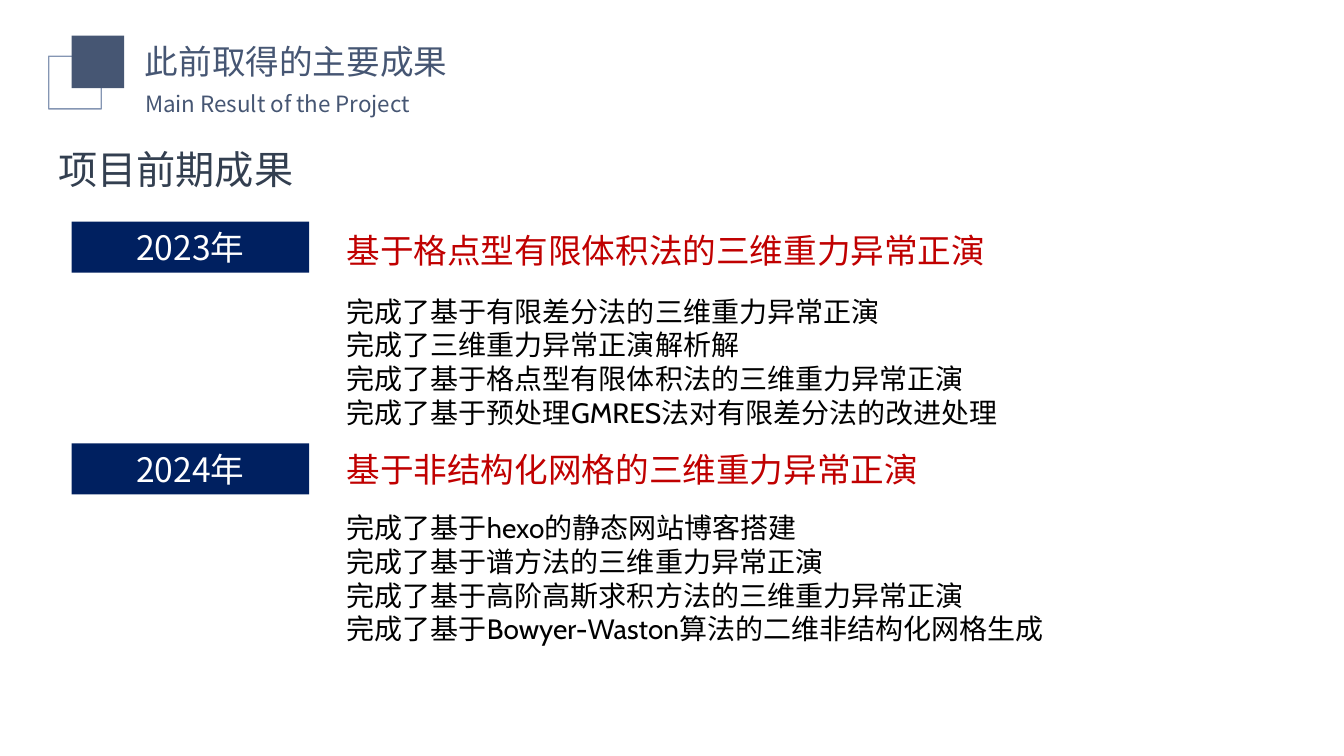
from lxml.etree import SubElement
from pptx import Presentation
from pptx.dml.color import RGBColor
from pptx.enum.shapes import MSO_SHAPE as Shape
from pptx.enum.text import MSO_AUTO_SIZE as AutoSize, PP_ALIGN as Align
from pptx.oxml.ns import qn
from pptx.util import Pt

SLATE = RGBColor(0x46, 0x56, 0x73)
OUTLINE = RGBColor(0x5D, 0x73, 0x9A)
HEADING = RGBColor(0x33, 0x3F, 0x50)
NAVY = RGBColor(0x00, 0x20, 0x60)
RED = RGBColor(0xC0, 0x00, 0x00)
BLACK = RGBColor(0x00, 0x00, 0x00)
WHITE = RGBColor(0xFF, 0xFF, 0xFF)
CABIN, NOTO = "Cabin", "Noto Sans CJK SC"

presentation = Presentation()
presentation.slide_width, presentation.slide_height = Pt(960), Pt(540)
slide = presentation.slides.add_slide(presentation.slide_layouts[6])


def add_rectangle(left, top, width, height, fill=None):
    shape = slide.shapes.add_shape(
        Shape.RECTANGLE, Pt(left), Pt(top), Pt(width), Pt(height))
    shape.shadow.inherit = False
    if fill is None:
        shape.fill.background()
    else:
        shape.fill.solid()
        shape.fill.fore_color.rgb = fill
        shape.line.fill.background()
    return shape


def write(shape, lines, size, color, name=NOTO, align=Align.LEFT, wrap=True):
    frame = shape.text_frame
    frame.word_wrap = wrap
    frame.auto_size = AutoSize.SHAPE_TO_FIT_TEXT
    frame.text = "\n".join(lines)
    for paragraph in frame.paragraphs:
        paragraph.alignment = align
        font = paragraph.font
        font.size, font.name = Pt(size), name
        font.color.rgb = color
        # Chinese characters take the East Asian typeface
        defaults = paragraph._p.pPr.find(qn("a:defRPr"))
        SubElement(defaults, qn("a:ea")).set("typeface", NOTO)
    return frame


# Header: two overlapping squares with the title and subtitle
outline_square = add_rectangle(34.8, 40.2, 37.6, 37.6)
outline_square.line.color.rgb = OUTLINE
outline_square.line.width = Pt(1)
line_color = outline_square.line._ln.find(".//" + qn("a:srgbClr"))
SubElement(line_color, qn("a:alpha")).set("val", "75000")
add_rectangle(51.2, 25.4, 37.6, 37.6, SLATE)

title = slide.shapes.add_textbox(Pt(96.5), Pt(25.4), Pt(232.5), Pt(36))
write(title, ["此前取得的主要成果"], 24, SLATE, wrap=False)
subtitle = slide.shapes.add_textbox(Pt(96.5), Pt(56.2), Pt(298), Pt(27.4))
subtitle_frame = write(subtitle, ["Main Result of the Project"], 16, SLATE)
subtitle_frame.paragraphs[0].line_spacing = 1.25

# Section heading
heading = slide.shapes.add_textbox(Pt(34.6), Pt(100), Pt(423), Pt(41))
write(heading, ["项目前期成果"], 28, HEADING, CABIN)

# Years: label, topic and finished work, with the top of each
years = [
    ("2023年", 158.4, "基于格点型有限体积法的三维重力异常正演", 160.6, 206.6, [
        "完成了基于有限差分法的三维重力异常正演",
        "完成了三维重力异常正演解析解",
        "完成了基于格点型有限体积法的三维重力异常正演",
        "完成了基于预处理GMRES法对有限差分法的改进处理",
    ]),
    ("2024年", 316.8, "基于非结构化网格的三维重力异常正演", 316.8, 361.4, [
        "完成了基于hexo的静态网站博客搭建",
        "完成了基于谱方法的三维重力异常正演",
        "完成了基于高阶高斯求积方法的三维重力异常正演",
        "完成了基于Bowyer-Waston算法的二维非结构化网格生成",
    ]),
]
for year, year_top, topic, topic_top, results_top, results in years:
    label = add_rectangle(51.2, year_top, 169.6, 36.4, NAVY)
    write(label, [year], 24, WHITE, align=Align.CENTER)
    topic_box = slide.shapes.add_textbox(
        Pt(240.5), Pt(topic_top), Pt(505), Pt(36.4))
    write(topic_box, [topic], 24, RED, CABIN)
    results_box = slide.shapes.add_textbox(
        Pt(240.5), Pt(results_top), Pt(554), Pt(104.4))
    write(results_box, results, 20, BLACK, CABIN)

presentation.save("out.pptx")
